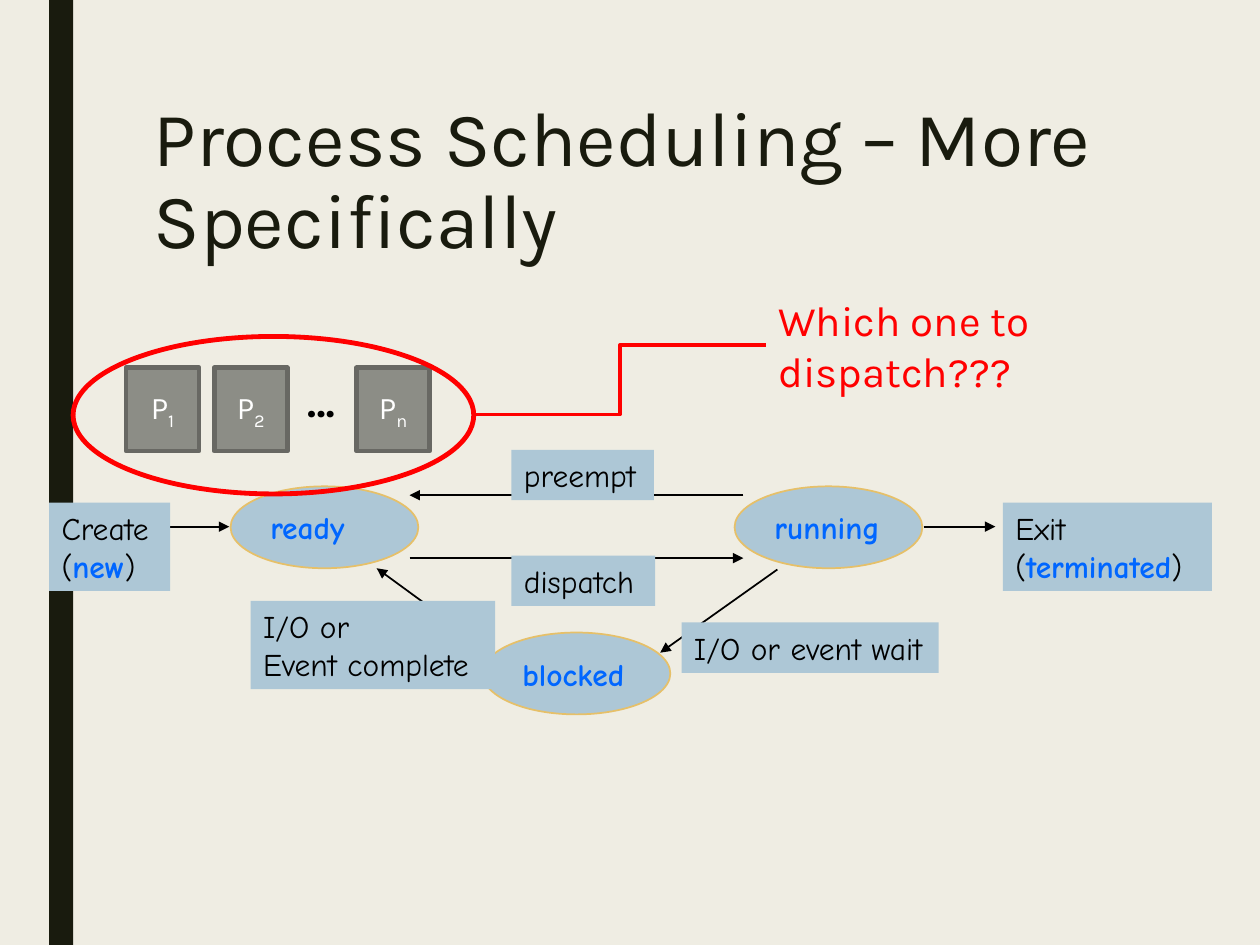
from lxml import etree
from pptx import Presentation
from pptx.dml.color import RGBColor
from pptx.enum.shapes import MSO_CONNECTOR, MSO_SHAPE
from pptx.enum.text import MSO_ANCHOR, PP_ALIGN
from pptx.oxml.ns import qn
from pptx.util import Inches, Pt

RECT, OVAL = MSO_SHAPE.RECTANGLE, MSO_SHAPE.OVAL
STRAIGHT, ELBOW = MSO_CONNECTOR.STRAIGHT, MSO_CONNECTOR.ELBOW
TOP, MIDDLE = MSO_ANCHOR.TOP, MSO_ANCHOR.MIDDLE
LEFT, CENTER = PP_ALIGN.LEFT, PP_ALIGN.CENTER

CREAM = RGBColor(0xEF, 0xED, 0xE3)
INK = RGBColor(0x19, 0x1B, 0x0E)
SKY = RGBColor(0xAD, 0xC7, 0xD6)
GOLD = RGBColor(0xE6, 0xC0, 0x69)
BLUE = RGBColor(0x00, 0x66, 0xFF)
BLACK = RGBColor(0x00, 0x00, 0x00)
WHITE = RGBColor(0xFF, 0xFF, 0xFF)
RED = RGBColor(0xFF, 0x00, 0x00)
GRAY = RGBColor(0x8C, 0x8D, 0x86)
DARK_GRAY = RGBColor(0x68, 0x68, 0x63)
KARLA, COMIC = "Karla", "Comic Neue"

prs = Presentation()
prs.slide_width, prs.slide_height = Inches(10), Inches(7.5)
COL, ROW = prs.slide_width / 100, prs.slide_height / 75
s = prs.slides.add_slide(prs.slide_layouts[6])
s.background.fill.solid()
s.background.fill.fore_color.rgb = CREAM


def add_box(kind, x, y, w, h, fill=None, line=None, weight=1, lines=(),
            font=KARLA, size=18, align=LEFT, anchor=TOP, wrap=True):
    sp = s.shapes.add_shape(kind, int(x * COL), int(y * ROW), int(w * COL), int(h * ROW))
    sp.shadow.inherit = False
    for part, color in ((sp.fill, fill), (sp.line.fill, line)):
        if color is None:
            part.background()
        else:
            part.solid()
            part.fore_color.rgb = color
    if line is not None:
        sp.line.width = Pt(weight)
    tf = sp.text_frame
    tf.word_wrap, tf.vertical_anchor = wrap, anchor
    for i, runs in enumerate(lines):
        p = tf.add_paragraph() if i else tf.paragraphs[0]
        p.alignment = align
        for text, color, bold in runs:
            r = p.add_run()
            r.text = text
            r.font.name, r.font.size, r.font.bold = font, Pt(size), bold
            r.font.color.rgb = color
    return sp


def add_line(kind, x1, y1, x2, y2, color, weight, arrow=False):
    c = s.shapes.add_connector(kind, int(x1 * COL), int(y1 * ROW), int(x2 * COL), int(y2 * ROW))
    c.line.color.rgb, c.line.width = color, Pt(weight)
    if arrow:
        etree.SubElement(c.line._get_or_add_ln(), qn("a:tailEnd"), type="triangle")
    etree.SubElement(c._element.spPr, qn("a:effectLst"))


add_box(RECT, 3.9, 0, 1.9, 75, INK)
title = add_box(RECT, 11.2, 7.5, 78.8, 16.2, size=44,
                lines=[[("Process Scheduling – More Specifically", INK, False)]])
title.text_frame.paragraphs[0].line_spacing = 0.89

for name, x, y in (("ready", 18.3, 38.6), ("running", 58.3, 38.6), ("blocked", 38.3, 50.2)):
    add_box(OVAL, x, y, 14.9, 6.5, SKY, GOLD, lines=[[(name, BLUE, True)]],
            font=COMIC, anchor=MIDDLE, wrap=False)

for ends in ((12.5, 41.8, 18.2, 41.8), (73.3, 41.8, 79, 41.8),
             (59, 39.3, 32.5, 39.3), (32.5, 44.3, 59, 44.3),
             (61.7, 45.2, 52.4, 51.8), (39.2, 51.9, 29.9, 45.1)):
    add_line(STRAIGHT, *ends, BLACK, 1, arrow=True)

for x, y, w, first, second, state in (
        (79.6, 39.9, 16.6, "Exit", None, "terminated"),
        (3.9, 39.9, 9.6, "Create", None, "new"),
        (40.6, 35.7, 11.3, "preempt", None, None),
        (40.6, 44.1, 11.4, "dispatch", None, None),
        (54.1, 49.4, 20.4, "I/O or event wait", None, None),
        (19.9, 47.7, 19.4, "I/O or", "Event complete", None)):
    lines = [[(first, BLACK, False)]]
    if second:
        lines.append([(second, BLACK, False)])
    if state:
        lines.append([("(", BLACK, False), (state, BLUE, True), (")", BLACK, False)])
    add_box(RECT, x, y, w, 4 if len(lines) == 1 else 7, SKY, lines=lines, font=COMIC)

for x, index in ((10, "1"), (17, "2"), (28.3, "n")):
    sp = add_box(RECT, x, 29.2, 5.8, 6.6, GRAY, DARK_GRAY, 2.75,
                 [[("P", WHITE, False), (index, WHITE, False)]], align=CENTER, anchor=MIDDLE)
    sp.text_frame.paragraphs[0].runs[1].font._element.set("baseline", "-25000")
add_box(RECT, 23.4, 29.3, 4.5, 5, lines=[[("…", BLACK, True)]], size=24)

add_box(OVAL, 5.8, 26.7, 31.8, 12.5, line=RED, weight=2.75)
add_line(ELBOW, 37.6, 32.9, 60.8, 27.4, RED, 2.25)
add_box(RECT, 60.8, 22.9, 28.4, 9.1, lines=[[("Which one to dispatch???", RED, False)]], size=24)

prs.save("out.pptx")
